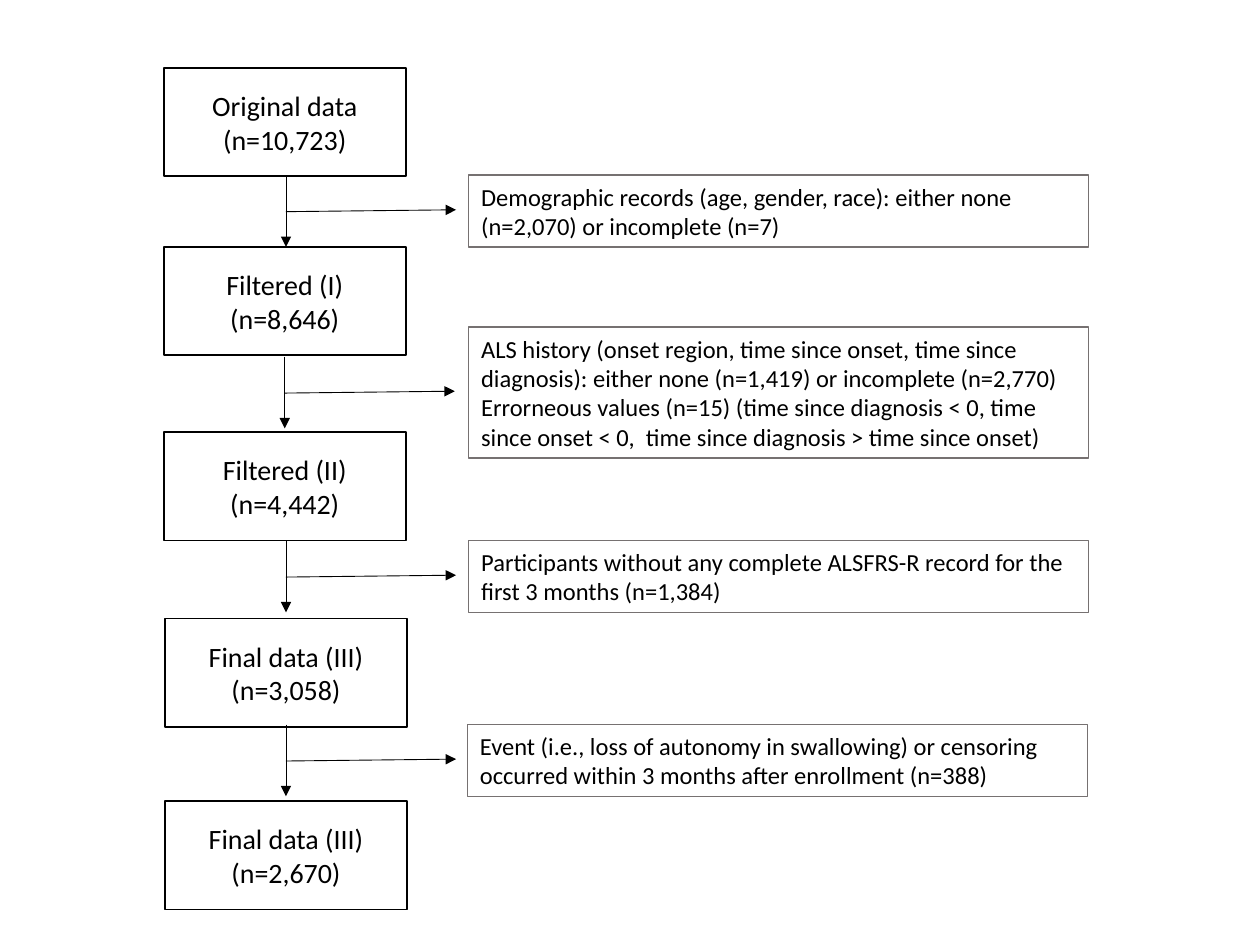
"""Build a participant selection flowchart with the exclusions at each step."""
from lxml.etree import SubElement
from pptx import Presentation
from pptx.dml.color import RGBColor
from pptx.enum.shapes import MSO_CONNECTOR, MSO_SHAPE
from pptx.enum.text import MSO_ANCHOR, PP_ALIGN
from pptx.oxml.ns import qn
from pptx.util import Inches, Pt

BLACK = RGBColor(0x00, 0x00, 0x00)
GRAY = RGBColor(0x76, 0x71, 0x71)


class Flowchart:
    """Draw flowchart parts on a grid of 100 columns by 75 rows."""

    font = "Calibri"

    def __init__(self, deck):
        self.slide = deck.slides.add_slide(deck.slide_layouts[6])
        self.column = deck.slide_width / 100
        self.row = deck.slide_height / 75

    def place(self, left, top, width, height):
        return (round(left * self.column), round(top * self.row),
                round(width * self.column), round(height * self.row))

    def box(self, area, lines, size, align, color, weight):
        box = self.slide.shapes.add_shape(MSO_SHAPE.RECTANGLE, *self.place(*area))
        box.shadow.inherit = False
        box.fill.background()
        box.line.color.rgb = color
        box.line.width = Pt(weight)
        frame = box.text_frame
        frame.word_wrap = True
        frame.vertical_anchor = MSO_ANCHOR.MIDDLE
        for index, line in enumerate(lines):
            paragraph = frame.paragraphs[0] if index == 0 else frame.add_paragraph()
            paragraph.alignment = align
            run = paragraph.add_run()
            run.text = line
            run.font.name = self.font
            run.font.size = Pt(size)
            run.font.color.rgb = BLACK

    def stage(self, left, top, title, count):
        self.box((left, top, 19.2, 8.6), [title, f"(n={count})"],
                 16, PP_ALIGN.CENTER, BLACK, 1)

    def exclusion(self, left, middle, height, reason):
        self.box((left, middle - height / 2, 49.2, height), [reason],
                 14, PP_ALIGN.LEFT, GRAY, 0.75)

    def arrow(self, *ends):
        arrow = self.slide.shapes.add_connector(MSO_CONNECTOR.STRAIGHT, *self.place(*ends))
        arrow.line.color.rgb = BLACK
        arrow.line.width = Pt(0.5)
        SubElement(arrow.line._get_or_add_ln(), qn("a:tailEnd"), type="triangle")
        SubElement(arrow._element.spPr, qn("a:effectLst"))


STAGES = [
    (13.0, 5.4, "Original data", "10,723"),
    (13.0, 19.6, "Filtered (I)", "8,646"),
    (13.0, 34.3, "Filtered (II)", "4,442"),
    (13.1, 49.1, "Final data (III)", "3,058"),
    (13.1, 63.6, "Final data (III)", "2,670"),
]

EXCLUSIONS = [
    (22.7, 13.9, 37.2, 5.7, "Demographic records (age, gender, race): either none "
     "(n=2,070) or incomplete (n=7)"),
    (22.6, 28.3, 37.2, 10.4, "ALS history (onset region, time since onset, time since "
     "diagnosis): either none (n=1,419) or incomplete (n=2,770) "
     "Errorneous values (n=15) (time since diagnosis < 0, time "
     "since onset < 0,  time since diagnosis > time since onset)"),
    (22.7, 42.9, 37.2, 5.7, "Participants without any complete ALSFRS-R record for the "
     "first 3 months (n=1,384)"),
    (22.7, 57.5, 37.1, 5.7, "Event (i.e., loss of autonomy in swallowing) or censoring "
     "occurred within 3 months after enrollment (n=388)"),
]

deck = Presentation()
deck.slide_width, deck.slide_height = Inches(10), Inches(7.5)
chart = Flowchart(deck)
for stage in STAGES:
    chart.stage(*stage)
for stem, start, left, height, reason in EXCLUSIONS:
    chart.exclusion(left, start + 2.85, height, reason)
    chart.arrow(stem, start, stem, start + 5.7)
    chart.arrow(stem, start + 2.9, stem + 13.5, start + 2.75)
deck.save("out.pptx")
